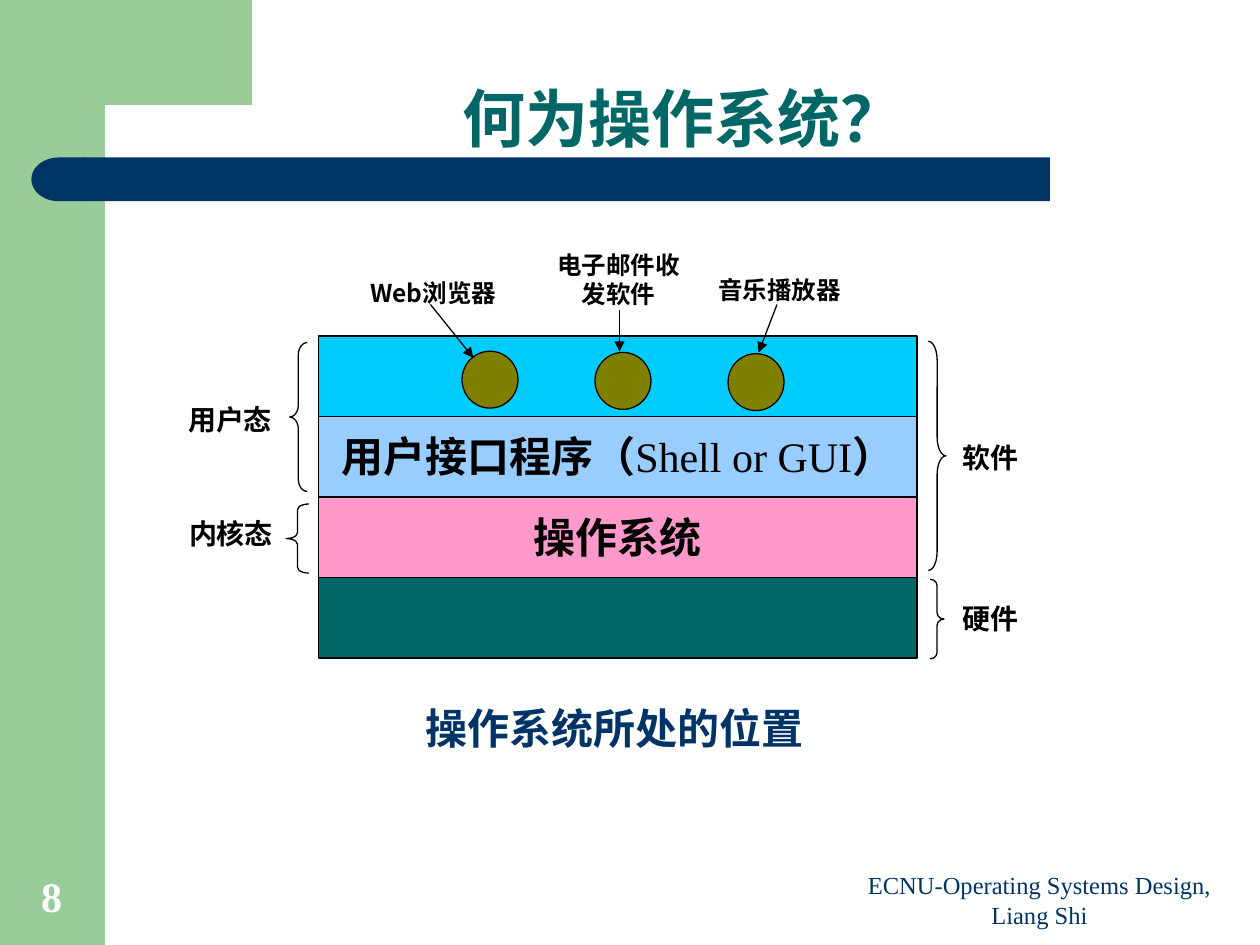
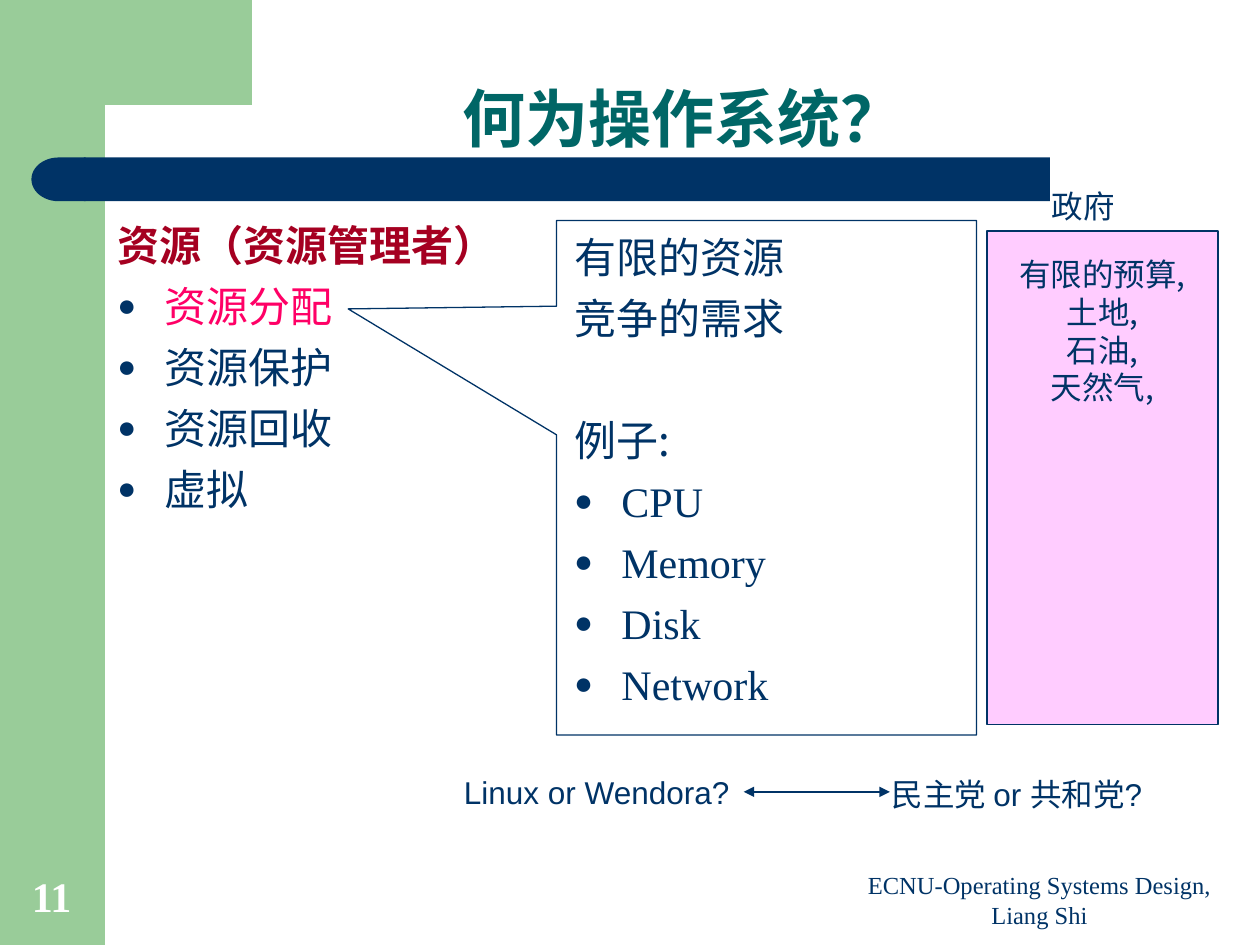
from lxml.etree import SubElement as Sub
from pptx import Presentation as Deck
from pptx.dml.color import RGBColor as RGB
from pptx.enum.shapes import MSO_CONNECTOR as Conn, MSO_SHAPE as Kind
from pptx.enum.text import MSO_ANCHOR as Anchor, PP_ALIGN as Align
from pptx.oxml.ns import qn
from pptx.util import Pt

HUE = {
    "green": "99CC99", "navy": "003366", "teal": "006666", "black": "000000",
    "white": "FFFFFF", "cyan": "00CCFF", "sky": "99CCFF", "pink": "FF99CC",
    "olive": "808000", "red": "A50021", "rose": "FF0066", "lilac": "FFCCFF",
}
NOTO, ARIAL, TIMES = "Noto Sans CJK SC", "Arial", "Times New Roman"
LEFT, MID = Align.LEFT, Align.CENTER
TITLE = "何为操作系统？"
CREDIT = "ECNU-Operating Systems Design, Liang Shi"


def tint(hue):
    return RGB.from_string(HUE[hue])


def spans(*box):
    return [Pt(round(n, 2)) for n in box]


def paint(shape, fill=None, line=None):
    shape.shadow.inherit = False
    if fill:
        shape.fill.solid()
        shape.fill.fore_color.rgb = tint(fill)
    else:
        shape.fill.background()
    if line:
        shape.line.color.rgb = tint(line)
        shape.line.width = Pt(0.75)
    else:
        shape.line.fill.background()
    return shape


def draw(slide, kind, box, fill=None, line=None, adj=()):
    shape = paint(slide.shapes.add_shape(kind, *spans(*box)), fill, line)
    for i, value in enumerate(adj):
        shape.adjustments[i] = value
    return shape


def arrow(slide, start, end, hue, ends=("tailEnd",)):
    line = slide.shapes.add_connector(Conn.STRAIGHT, *spans(*start, *end))
    line.line.color.rgb = tint(hue)
    line.line.width = Pt(0.75)
    for end in ends:
        Sub(line.line._get_or_add_ln(), qn("a:" + end), type="triangle")
    Sub(line._element.spPr, qn("a:effectLst"))


def mark(par, hang, dot):
    props = par._p.get_or_add_pPr()
    props.set("marL", str(Pt(hang)))
    props.set("indent", str(-Pt(hang)))
    if dot:
        Sub(Sub(props, qn("a:buClr")), qn("a:srgbClr"), val=HUE["navy"])
        Sub(props, qn("a:buSzPct"), val="75000")
        Sub(props, qn("a:buFont"), typeface=ARIAL)
        Sub(props, qn("a:buChar"), char="●")


def add_run(par, text, size, hue, font, bold):
    run = par.add_run()
    run.text = text
    run.font.size = Pt(size)
    run.font.bold = bold
    run.font.color.rgb = tint(hue)
    run.font.name = font
    Sub(run._r.get_or_add_rPr(), qn("a:ea"), typeface=NOTO)


def fill_par(par, text, size=24, hue="navy", font=NOTO, bold=False,
             align=LEFT, lead=1.2, gap=0, hang=0, dot=False):
    if hang:
        mark(par, hang, dot)
    par.alignment = align
    par.line_spacing = Pt(round(size * lead, 2))
    if gap:
        par.space_before = Pt(gap)
    parts = [(text, font, bold)] if isinstance(text, str) else text
    for part, face, heavy in parts:
        add_run(par, part, size, hue, face, heavy)


def write(spot, rows, anchor=Anchor.TOP, top=3.6, lift=0, **style):
    frame = spot.text_frame
    frame.word_wrap = True
    frame.vertical_anchor = anchor
    rows = [row if isinstance(row, dict) else {"text": row} for row in rows]
    wide = any(ord(c) > 0x2E80 for row in rows for c in str(row["text"]))
    drop = (0.08 * style.get("size", 24) if wide else 0) - lift
    frame.margin_left = frame.margin_right = Pt(7.2)
    frame.margin_top = Pt(round(top + drop, 2))
    frame.margin_bottom = Pt(round(3.6 - drop, 2))
    for i, row in enumerate(rows):
        par = frame.add_paragraph() if i else frame.paragraphs[0]
        look = {**style, **row}
        if not i:
            look["gap"] = 0
        fill_par(par, **look)


def label(slide, box, *rows, **style):
    write(slide.shapes.add_textbox(*spans(*box)), rows, **style)


def frame_page(deck, number):
    slide = deck.slides.add_slide(deck.slide_layouts[6])
    draw(slide, Kind.RECTANGLE, (0, 0, 60, 540), "green")
    pen = slide.shapes.build_freeform(36, 0, scale=Pt(1))
    pen.add_line_segments([(144, 0), (144, 60), (60, 60), (55, 61),
                           (51, 66), (49, 75), (48, 92), (36, 92)])
    paint(pen.convert_to_shape(), "green")
    draw(slide, Kind.RECTANGLE, (48, 90, 552, 25), "navy")
    cap = draw(slide, Kind.FLOWCHART_DELAY, (18, 90, 31, 25), "navy")
    cap._element.spPr.find(qn("a:xfrm")).set("flipH", "1")
    label(slide, (78, 42, 624, 47.5), TITLE, size=36, hue="teal", font=ARIAL,
          bold=True, align=MID, lead=1.08, anchor=Anchor.BOTTOM)
    label(slide, (480, 497, 228, 37.5), CREDIT, size=14, font=TIMES,
          align=MID, anchor=Anchor.BOTTOM)
    label(slide, (0, 492, 59, 38), str(number), hue="white", font=TIMES,
          bold=True, align=MID, lead=1.08, anchor=Anchor.BOTTOM)
    return slide


def stack(slide, box):
    x, y, w, h = box
    step = h / 4
    shell = [("用户接口程序（", ARIAL, True), ("Shell or GUI", TIMES, False),
             ("）", ARIAL, True)]
    layers = [("cyan", None), ("sky", shell), ("pink", "操作系统"), ("teal", None)]
    for i, (hue, text) in enumerate(layers):
        layer = draw(slide, Kind.RECTANGLE, (x, y + i * step, w, step), hue, "black")
        if text:
            write(layer, [text], hue="black", font=ARIAL, bold=True, align=MID,
                  anchor=Anchor.MIDDLE, lift=2.5)
    for i in range(3):
        draw(slide, Kind.OVAL, (x + 82 + 76 * i, y + 8.7 + 0.7 * i, 32, 32.5),
             "olive", "black")


def apps(slide, box):
    x, y = box[:2]
    tools = [
        ("Web浏览器", (16.5, -38, 98, 24.5), (64, -18), (88.5, 12.5)),
        ("电子邮件收发软件", (127.5, -54, 88, 41), (172, -15), (172, 9)),
        ("音乐播放器", (214.5, -39.5, 98, 24.5), (262, -18), (251.5, 9.5)),
    ]
    for name, (dx, dy, w, h), start, end in tools:
        label(slide, (x + dx, y + dy, w, h), name, size=14, hue="black",
              bold=True, align=MID)
        arrow(slide, (x + start[0], y + start[1]), (x + end[0], y + end[1]), "black")


def braces(slide, box):
    x, y = box[:2]
    sides = [
        (Kind.LEFT_BRACE, (-16.5, 3.8, 10, 85), 0.69, "用户态", (-86.5, 33, 72)),
        (Kind.LEFT_BRACE, (-18.5, 96, 13, 39.5), 0.25, "内核态", (-86, 98.5, 72)),
        (Kind.RIGHT_BRACE, (348.5, 3, 10, 131), 1.07, "软件", (355, 54.8, 58)),
        (Kind.RIGHT_BRACE, (349.5, 139, 8, 45.5), 0.45, "硬件", (355, 147, 58)),
    ]
    for kind, (bx, by, w, h), bend, name, (tx, ty, wide) in sides:
        draw(slide, kind, (x + bx, y + by, w, h), line="black", adj=(bend, 0.5))
        label(slide, (x + tx, y + ty, wide, 26.5), name, size=16, hue="black",
              bold=True, align=MID)


def place_page(deck):
    slide = frame_page(deck, 8)
    box = (182, 192, 342, 184)
    braces(slide, box)
    stack(slide, box)
    apps(slide, box)
    label(slide, (236, 396, 250, 36), "操作系统所处的位置", font=ARIAL, bold=True)


def dots(names, **style):
    return [{"text": name, "dot": True, **style} for name in names]


def duties(slide, box):
    head = {"text": "资源（资源管理者）", "hue": "red", "bold": True}
    label(slide, box, head, *dots(["资源分配"], hue="rose"),
          *dots(["资源保护", "资源回收", "虚拟"]), font=ARIAL, gap=6, hang=27)


def limits(slide, box):
    x, y, w, h = box
    label(slide, (x + 3, y + 1, w + 50, h + 65), "有限的资源", "竞争的需求",
          {"text": "例子:", "gap": 40.8},
          *dots(["CPU", "Memory", "Disk", "Network"], font=TIMES), gap=6, hang=27)
    draw(slide, Kind.RECTANGULAR_CALLOUT, box, line="navy", adj=(-0.996, -0.328))


def state(slide, box):
    x, y = box[:2]
    panel = draw(slide, Kind.RECTANGLE, box, "lilac", "navy")
    write(panel, ["有限的预算,", "土地,", "石油,", "天然气,"], size=18,
          align=MID, top=12.3)
    label(slide, (x + 30, y - 30, 60, 29), "政府", size=18, font=ARIAL)


def choice(slide, box):
    x, y, w, h = box
    label(slide, (x, y, 175, h), "Linux or Wendora?", size=18, font=ARIAL)
    label(slide, (x + 244.5, y, w - 244.5, h), "民主党 or 共和党?", size=18, font=ARIAL)
    arrow(slide, (x + 167, y + 14.5), (x + 250.5, y + 14.5), "navy",
          ("headEnd", "tailEnd"))


def source_page(deck):
    slide = frame_page(deck, 11)
    duties(slide, (60, 120, 297, 268))
    limits(slide, (318, 126, 240, 294))
    state(slide, (564, 132, 132, 282))
    choice(slide, (258, 438, 430, 29))


def main():
    deck = Deck()
    deck.slide_width, deck.slide_height = Pt(720), Pt(540)
    place_page(deck)
    source_page(deck)
    deck.save("out.pptx")


if __name__ == "__main__":
    main()
